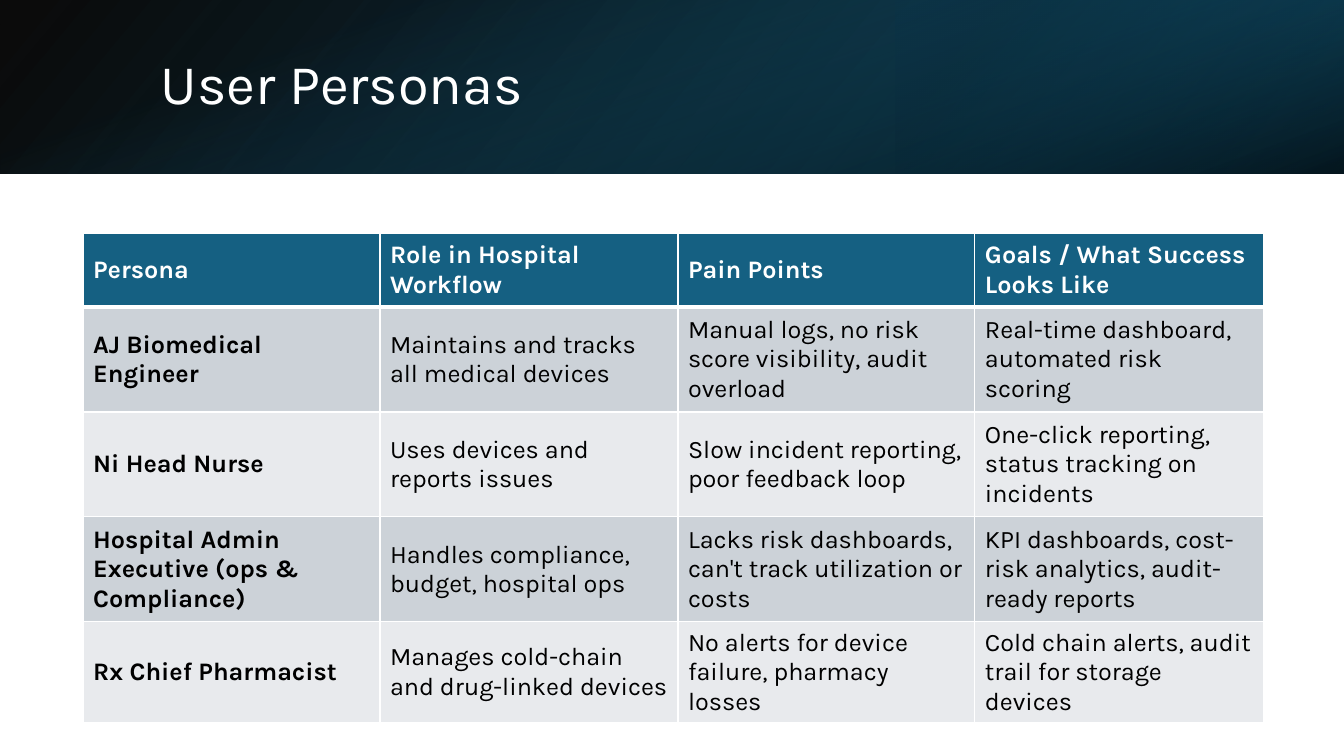
from dataclasses import dataclass

from lxml import etree
from pptx import Presentation
from pptx.dml.color import RGBColor
from pptx.enum.shapes import MSO_SHAPE
from pptx.enum.text import MSO_ANCHOR
from pptx.oxml.ns import qn
from pptx.util import Pt

RECT = MSO_SHAPE.RECTANGLE
MIDDLE = MSO_ANCHOR.MIDDLE
EMU_PER_PX = 914400 / 100.8


@dataclass(frozen=True)
class Theme:
    font: str = "Karla"
    title_size: int = 40
    table_size: int = 18
    white: str = "FFFFFF"
    black: str = "000000"
    accent: str = "156082"
    accent_mid: str = "104862"
    accent_dark: str = "0B3041"
    bands: tuple[str, str] = ("CCD2D8", "E8EAED")


@dataclass(frozen=True)
class Stop:
    position: int  # percent
    color: str
    opacity: int  # percent


@dataclass(frozen=True)
class BannerLayer:
    box: tuple[int, int, int, int]  # left, top, width, height in px
    stops: tuple[Stop, Stop]
    angle: int  # clockwise degrees
    rotation: int = 0
    flipped: bool = False


@dataclass(frozen=True)
class PersonaRow:
    persona: str
    role: str
    pains: str
    goals: str


THEME = Theme()
SLIDE_W, SLIDE_H, BANNER_H = 1344, 756, 174
SIDE_W = SLIDE_W // 3

BANNER = [
    BannerLayer((0, 0, SLIDE_W, BANNER_H),
                (Stop(0, THEME.black, 96), Stop(100, THEME.accent_mid, 100)),
                angle=140, flipped=True),
    BannerLayer((SLIDE_W - SIDE_W, 0, SIDE_W, BANNER_H),
                (Stop(19, THEME.accent_dark, 68), Stop(100, THEME.accent, 79)),
                angle=320, rotation=180, flipped=True),
    # A quarter turn lays this upright strip across the banner
    BannerLayer(((SLIDE_W - BANNER_H) // 2, (BANNER_H - SLIDE_W) // 2, BANNER_H, SLIDE_W),
                (Stop(23, THEME.accent, 0), Stop(99, THEME.black, 74)),
                angle=340, rotation=90),
]

TITLE_BOX = (151, 38, 1107, 97)
TABLE_LEFT, TABLE_TOP = 83, 233
COL_WIDTHS = (297, 298, 297, 289)
ROW_HEIGHTS = (74, 105, 105, 105, 74)
ROWS = [
    PersonaRow("Persona", "Role in Hospital Workflow", "Pain Points",
               "Goals / What Success Looks Like"),
    PersonaRow("AJ Biomedical Engineer", "Maintains and tracks all medical devices",
               "Manual logs, no risk score visibility, audit overload",
               "Real-time dashboard, automated risk scoring"),
    PersonaRow("Ni Head Nurse", "Uses devices and reports issues",
               "Slow incident reporting, poor feedback loop",
               "One-click reporting, status tracking on incidents"),
    PersonaRow("Hospital Admin Executive (ops & Compliance)",
               "Handles compliance, budget, hospital ops",
               "Lacks risk dashboards, can't track utilization or costs",
               "KPI dashboards, cost-risk analytics, audit-ready reports"),
    PersonaRow("Rx Chief Pharmacist", "Manages cold-chain and drug-linked devices",
               "No alerts for device failure, pharmacy losses",
               "Cold chain alerts, audit trail for storage devices"),
]


def px(n: int) -> int:
    return round(n * EMU_PER_PX)


def add_run(p, text: str, size: int, color: str, bold: bool = False) -> None:
    r = p.add_run()
    r.text = text
    r.font.name = THEME.font
    r.font.size = Pt(size)
    r.font.bold = bold
    r.font.color.rgb = RGBColor.from_string(color)


def add_banner_layer(slide, layer: BannerLayer) -> None:
    sp = slide.shapes.add_shape(RECT, *map(px, layer.box))
    sp.shadow.inherit = False
    sp.line.fill.background()
    sp.rotation = layer.rotation
    sp.fill.gradient()
    sp.fill.gradient_angle = 360 - layer.angle
    for gs, stop in zip(sp.fill.gradient_stops, layer.stops):
        gs.position = stop.position / 100
        gs.color.rgb = RGBColor.from_string(stop.color)
    spPr = sp.element.spPr
    for clr, stop in zip(spPr.iter(qn("a:srgbClr")), layer.stops):
        etree.SubElement(clr, qn("a:alpha"), val=str(stop.opacity * 1000))
    if layer.flipped:
        spPr.find(qn("a:xfrm")).set("flipH", "1")


def add_title(slide, text: str) -> None:
    tf = slide.shapes.add_textbox(*map(px, TITLE_BOX)).text_frame
    tf.word_wrap = True
    tf.vertical_anchor = MIDDLE
    p = tf.paragraphs[0]
    p.line_spacing = 0.9
    add_run(p, text, THEME.title_size, THEME.white)


def set_borders(cell, top: int, bottom: int) -> None:
    tcPr = cell._tc.get_or_add_tcPr()
    sides = (("lnL", 1), ("lnR", 1), ("lnT", top), ("lnB", bottom))
    for i, (tag, width) in enumerate(sides):
        ln = etree.Element(qn(f"a:{tag}"), w=str(Pt(width)))
        fill = etree.SubElement(ln, qn("a:solidFill"))
        etree.SubElement(fill, qn("a:srgbClr"), val=THEME.white)
        tcPr.insert(i, ln)  # borders come before the cell fill


def add_persona_table(slide) -> None:
    frame = slide.shapes.add_table(len(ROWS), len(COL_WIDTHS), px(TABLE_LEFT), px(TABLE_TOP),
                                   px(sum(COL_WIDTHS)), px(sum(ROW_HEIGHTS)))
    table = frame.table
    for column, width in zip(table.columns, COL_WIDTHS):
        column.width = px(width)
    for i, (row, height) in enumerate(zip(ROWS, ROW_HEIGHTS)):
        table.rows[i].height = px(height)
        header = i == 0
        fill = THEME.accent if header else THEME.bands[(i - 1) % 2]
        color = THEME.white if header else THEME.black
        for j, text in enumerate((row.persona, row.role, row.pains, row.goals)):
            cell = table.cell(i, j)
            cell.vertical_anchor = MIDDLE
            cell.fill.solid()
            cell.fill.fore_color.rgb = RGBColor.from_string(fill)
            set_borders(cell, top=3 if i == 1 else 1, bottom=3 if header else 1)
            add_run(cell.text_frame.paragraphs[0], text, THEME.table_size, color,
                    bold=header or j == 0)


def main() -> None:
    prs = Presentation()
    prs.slide_width, prs.slide_height = px(SLIDE_W), px(SLIDE_H)
    slide = prs.slides.add_slide(prs.slide_layouts[6])

    # Banner and title
    for layer in BANNER:
        add_banner_layer(slide, layer)
    add_title(slide, "User Personas")

    # Personas
    add_persona_table(slide)
    prs.save("out.pptx")


if __name__ == "__main__":
    main()
